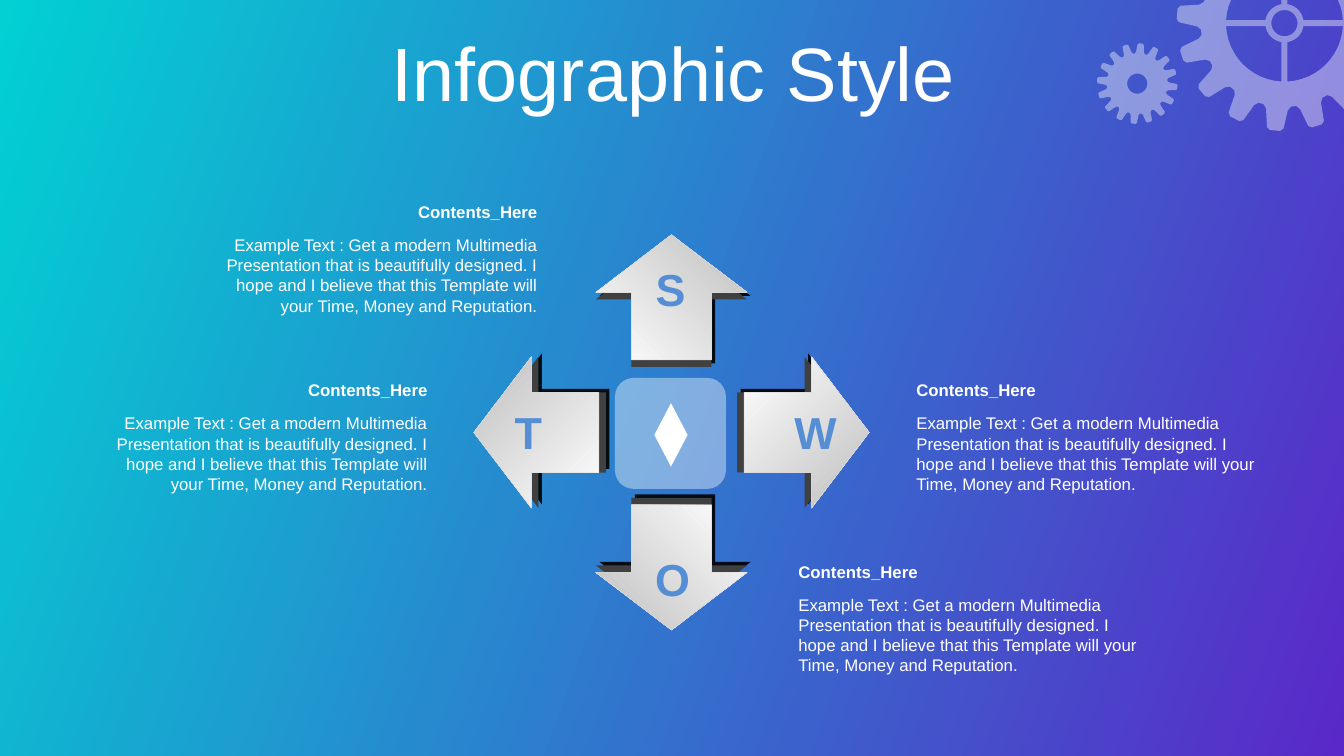
"""Builds a SWOT infographic slide with four arrows around a central tile."""
from math import asin, cos, degrees, radians, sin

from lxml import etree
from pptx import Presentation
from pptx.dml.color import RGBColor
from pptx.enum.shapes import MSO_SHAPE
from pptx.enum.text import MSO_ANCHOR, PP_ALIGN
from pptx.oxml import parse_xml
from pptx.oxml.ns import nsdecls, qn
from pptx.util import Inches, Pt

UP_ARROW, TILE, DIAMOND = MSO_SHAPE.UP_ARROW, MSO_SHAPE.ROUNDED_RECTANGLE, MSO_SHAPE.DIAMOND
LEFT, CENTER, RIGHT = PP_ALIGN.LEFT, PP_ALIGN.CENTER, PP_ALIGN.RIGHT
MIDDLE = MSO_ANCHOR.MIDDLE
WHITE = RGBColor(0xFF, 0xFF, 0xFF)
SILVER = RGBColor(0xBF, 0xBF, 0xBF)
EDGE = RGBColor(0xD9, 0xD9, 0xD9)
SIDE = RGBColor(0x40, 0x40, 0x40)
LETTER_BLUE = RGBColor(0x55, 0x8E, 0xD5)
TURQUOISE = RGBColor(0x01, 0xD1, 0xD3)
VIOLET = RGBColor(0x5A, 0x28, 0xC8)
SLIDE_WIDTH = 13.33
BODY = ("Example Text : Get a modern Multimedia Presentation that is beautifully designed. "
        "I hope and I believe that this Template will your Time, Money and Reputation.")


def paint(shape, color, opacity=100):
    shape.shadow.inherit = False
    shape.line.fill.background()
    shape.fill.solid()
    shape.fill.fore_color.rgb = color
    if opacity < 100:
        tint = shape.fill._xPr.find(qn("a:solidFill"))[0]
        etree.SubElement(tint, qn("a:alpha")).set("val", str(opacity * 1000))


def add_text(left, top, width, height, text, size, color, bold, align, margin):
    box = slide.shapes.add_textbox(Inches(left), Inches(top), Inches(width), Inches(height))
    frame = box.text_frame
    frame.word_wrap = True
    frame.margin_left = frame.margin_right = Inches(margin)
    frame.margin_top = frame.margin_bottom = Inches(margin / 2)
    frame.text = text
    paragraph = frame.paragraphs[0]
    paragraph.alignment = align
    font = paragraph.runs[0].font
    font.name, font.size, font.bold = "Arial", Pt(size), bold
    font.color.rgb = color


prs = Presentation()
prs.slide_width, prs.slide_height = Inches(SLIDE_WIDTH), Inches(7.5)
slide = prs.slides.add_slide(prs.slide_layouts[5])

backdrop = slide.background.fill
backdrop.gradient()
backdrop.gradient_angle = 340
for stop, color in zip(backdrop.gradient_stops, (TURQUOISE, VIOLET)):
    stop.color.rgb = color

# Contours are lists of (radius, angle in degrees) around each gear's centre.
gears = []
for center_x, center_y, root, tip in ((12.74, 0.23, 0.83, 1.07), (11.28, 0.83, 0.3, 0.4)):
    pitch = 360 / 16
    rise = tip - root
    profile = ((-0.42, root), (-0.32, root + 0.15 * rise), (-0.2, tip - 0.1 * rise),
               (-0.12, tip), (0.12, tip), (0.2, tip - 0.1 * rise),
               (0.32, root + 0.15 * rise), (0.42, root))
    rim = [(radius, 5 + (tooth + offset) * pitch) for tooth in range(16) for offset, radius in profile]
    gears.append((center_x, center_y, [rim]))

for gear, hole in zip(gears, (0.13, 0.1)):
    gear[2].append([(hole, angle) for angle in range(0, 360, 10)])
for quarter in range(0, 360, 90):
    window = []
    for radius, direction in ((0.58, 1), (0.19, -1)):
        inset = degrees(asin(0.03 / radius))
        arc = [(radius, quarter + inset + (90 - 2 * inset) * step / 12) for step in range(13)]
        window += arc[::direction]
    gears[0][2].append(window)

for center_x, center_y, contours in gears:
    builder = None
    for contour in contours:
        points = [(Inches(min(SLIDE_WIDTH, center_x + radius * cos(radians(angle)))),
                   Inches(max(0, center_y + radius * sin(radians(angle)))))
                  for radius, angle in contour]
        if builder is None:
            builder = slide.shapes.build_freeform(*points[0], scale=1.0)
        else:
            builder.move_to(*points[0])
        builder.add_line_segments(points[1:], close=True)
    paint(builder.convert_to_shape(), WHITE, 40)

title = slide.shapes.title
title.left, title.top, title.width, title.height = Inches(0.35), Inches(0.37), Inches(12.66), Inches(0.79)
title.text_frame.text = "Infographic Style"
title.text_frame.vertical_anchor = MIDDLE
heading = title.text_frame.paragraphs[0]
heading.alignment = CENTER
heading.line_spacing = 0.9
heading.runs[0].font.name = "Arial"
heading.runs[0].font.size = Pt(54)
heading.runs[0].font.color.rgb = WHITE

HUB_X, HUB_Y = 6.66, 4.29
ARROW_WIDTH, ARROW_HEIGHT = 1.5, 1.24
for turn in (0, 180, 90, 270):
    for distance in (1.27, 1.34):
        x = HUB_X + distance * sin(radians(turn))
        y = HUB_Y - distance * cos(radians(turn))
        arrow = slide.shapes.add_shape(
            UP_ARROW, Inches(x - ARROW_WIDTH / 2), Inches(y - ARROW_HEIGHT / 2),
            Inches(ARROW_WIDTH), Inches(ARROW_HEIGHT))
        arrow.rotation = turn
        arrow.adjustments[0], arrow.adjustments[1] = 0.53, 0.46
        paint(arrow, SIDE)
        if distance == 1.27:
            arrow._element.spPr.find(qn("a:effectLst")).append(parse_xml(
                f'<a:outerShdw {nsdecls("a")} blurRad="0" dist="45720" dir="18900000" '
                'rotWithShape="0"><a:srgbClr val="000000"><a:alpha val="90000"/>'
                '</a:srgbClr></a:outerShdw>'))
        else:
            arrow.fill.gradient()
            arrow.fill.gradient_angle = 45
            for stop, color in zip(arrow.fill.gradient_stops, (WHITE, SILVER)):
                stop.color.rgb = color
            arrow.line.color.rgb = EDGE
            arrow.line.width = Pt(0.32)

tile = slide.shapes.add_shape(TILE, Inches(6.1), Inches(3.75), Inches(1.1), Inches(1.1))
paint(tile, WHITE, 40)
emblem = slide.shapes.add_shape(DIAMOND, Inches(6.49), Inches(4), Inches(0.33), Inches(0.63))
paint(emblem, WHITE)

for letter, left, top in (("S", 6.34, 2.6), ("W", 7.78, 4.02), ("O", 6.36, 5.47), ("T", 4.93, 4.02)):
    add_text(left, top, 0.62, 0.54, letter, 32, LETTER_BLUE, True, CENTER, 0)

for left, top, width, align in ((7.82, 5.52, 3.63, LEFT), (8.99, 3.72, 3.63, LEFT),
                                (1.97, 1.95, 3.46, RIGHT), (0.88, 3.72, 3.46, RIGHT)):
    add_text(left, top + 0.33, width, 0.91, BODY, 12, WHITE, False, align, 0.1)
    add_text(left, top, width, 0.3, "Contents_Here", 12, WHITE, True, align, 0.1)

prs.save("out.pptx")
